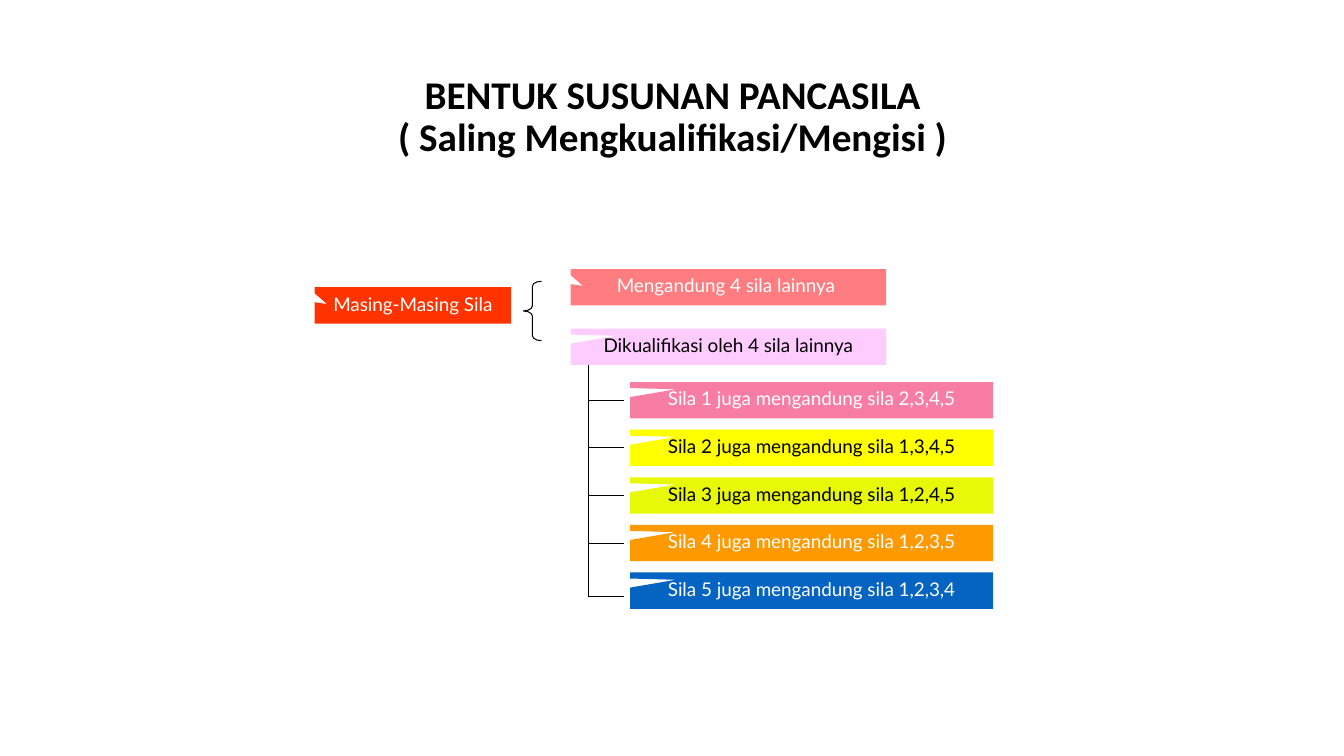
from dataclasses import dataclass

from lxml.etree import SubElement
from pptx import Presentation
from pptx.dml.color import RGBColor
from pptx.enum.shapes import MSO_CONNECTOR, MSO_SHAPE
from pptx.enum.text import MSO_ANCHOR, PP_ALIGN
from pptx.oxml.ns import qn
from pptx.util import Inches, Pt


@dataclass(frozen=True)
class Theme:
    black: str = "000000"
    white: str = "FFFFFF"
    red: str = "FF3300"
    coral: str = "FF7C80"
    lilac: str = "FFCCFF"
    pink: str = "F77DA3"
    yellow: str = "FFFF00"
    lime: str = "E8F907"
    orange: str = "FF9900"
    blue: str = "0563C1"
    title_font: str = "Calibri"
    label_font: str = "Lato"
    title_size: float = 28
    label_size: float = 13.5
    line_width: float = 0.75


THEME = Theme()
LABEL_HEIGHT = 0.36
SILA_TOP = 3.79
SILA_PITCH = 0.4725
TRUNK_X = 5.84
BRANCH_END_X = 6.19
TRUNK_TOP = 3.62
TRUNK_BOTTOM = 5.92


def rgb(color):
    return RGBColor.from_string(color)


def write_text(frame, text, font_name, size, color, bold=False):
    frame.word_wrap = True
    frame.text = text
    paragraph = frame.paragraphs[0]
    paragraph.alignment = PP_ALIGN.CENTER
    for run in paragraph.runs:
        run.font.name = font_name
        run.font.size = Pt(size)
        run.font.color.rgb = rgb(color)
        run.font.bold = bold
    return paragraph


def add_title(slide, text):
    title = slide.shapes.add_textbox(Inches(0.92), Inches(0.44), Inches(11.5), Inches(1.45))
    frame = title.text_frame
    frame.vertical_anchor = MSO_ANCHOR.MIDDLE
    heading = write_text(frame, text, THEME.title_font, THEME.title_size, THEME.black, True)
    heading.line_spacing = 0.9


def add_label(slide, text, left, top, width, pointer, fill, color):
    label = slide.shapes.add_shape(
        MSO_SHAPE.RECTANGULAR_CALLOUT,
        Inches(left), Inches(top), Inches(width), Inches(LABEL_HEIGHT),
    )
    label.adjustments[0], label.adjustments[1] = pointer
    label.shadow.inherit = False
    label.fill.solid()
    label.fill.fore_color.rgb = rgb(fill)
    label.line.fill.background()
    label.text_frame.vertical_anchor = MSO_ANCHOR.TOP
    write_text(label.text_frame, text, THEME.label_font, THEME.label_size, color)


def style_line(line):
    line.color.rgb = rgb(THEME.black)
    line.width = Pt(THEME.line_width)


def add_brace(slide):
    brace = slide.shapes.add_shape(
        MSO_SHAPE.LEFT_BRACE, Inches(5.19), Inches(2.79), Inches(0.18), Inches(0.59)
    )
    brace.adjustments[0] = 0.278
    brace.shadow.inherit = False
    brace.fill.background()
    style_line(brace.line)


def add_line(slide, start_x, start_y, end_x, end_y):
    connector = slide.shapes.add_connector(
        MSO_CONNECTOR.STRAIGHT,
        Inches(start_x), Inches(start_y), Inches(end_x), Inches(end_y),
    )
    style_line(connector.line)
    SubElement(connector._element.spPr, qn("a:effectLst"))


def add_sila_list(slide):
    sila_colors = [
        (THEME.pink, THEME.white),
        (THEME.yellow, THEME.black),
        (THEME.lime, THEME.black),
        (THEME.orange, THEME.white),
        (THEME.blue, THEME.white),
    ]
    count = len(sila_colors)
    for index, (fill, color) in enumerate(sila_colors):
        number = index + 1
        others = ",".join(str(n) for n in range(1, count + 1) if n != number)
        top = SILA_TOP + index * SILA_PITCH
        add_label(slide, f"Sila {number} juga mengandung sila {others}",
                  6.25, top, 3.6, (-0.374, -0.299), fill, color)
        branch_y = TRUNK_BOTTOM if number == count else top + LABEL_HEIGHT / 2
        add_line(slide, TRUNK_X, branch_y, BRANCH_END_X, branch_y)
    add_line(slide, TRUNK_X, TRUNK_TOP, TRUNK_X, TRUNK_BOTTOM)


def main():
    presentation = Presentation()
    presentation.slide_width = Inches(13.33)
    presentation.slide_height = Inches(7.5)
    slide = presentation.slides.add_slide(presentation.slide_layouts[6])

    add_title(slide, "BENTUK SUSUNAN PANCASILA\v( Saling Mengkualifikasi/Mengisi )")
    add_label(slide, "Masing-Masing Sila", 3.12, 2.85, 1.95,
              (-0.437, -0.038), THEME.red, THEME.white)
    add_label(slide, "Mengandung 4 sila lainnya ", 5.66, 2.67, 3.13,
              (-0.461, -0.038), THEME.coral, THEME.white)
    add_label(slide, "Dikualifikasi oleh 4 sila lainnya", 5.66, 3.26, 3.13,
              (-0.355, -0.299), THEME.lilac, THEME.black)
    add_brace(slide)
    add_sila_list(slide)

    presentation.save("out.pptx")


if __name__ == "__main__":
    main()
